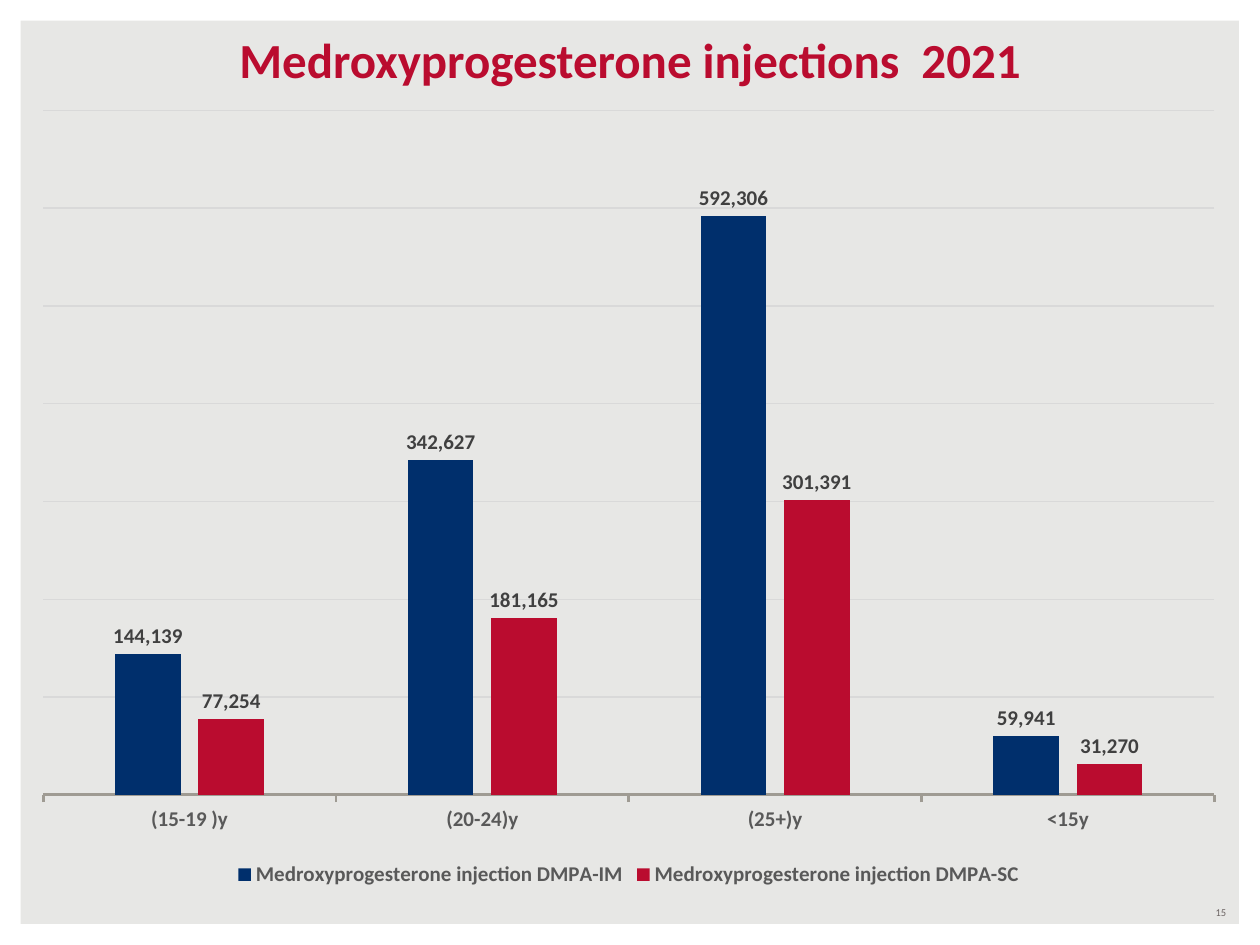
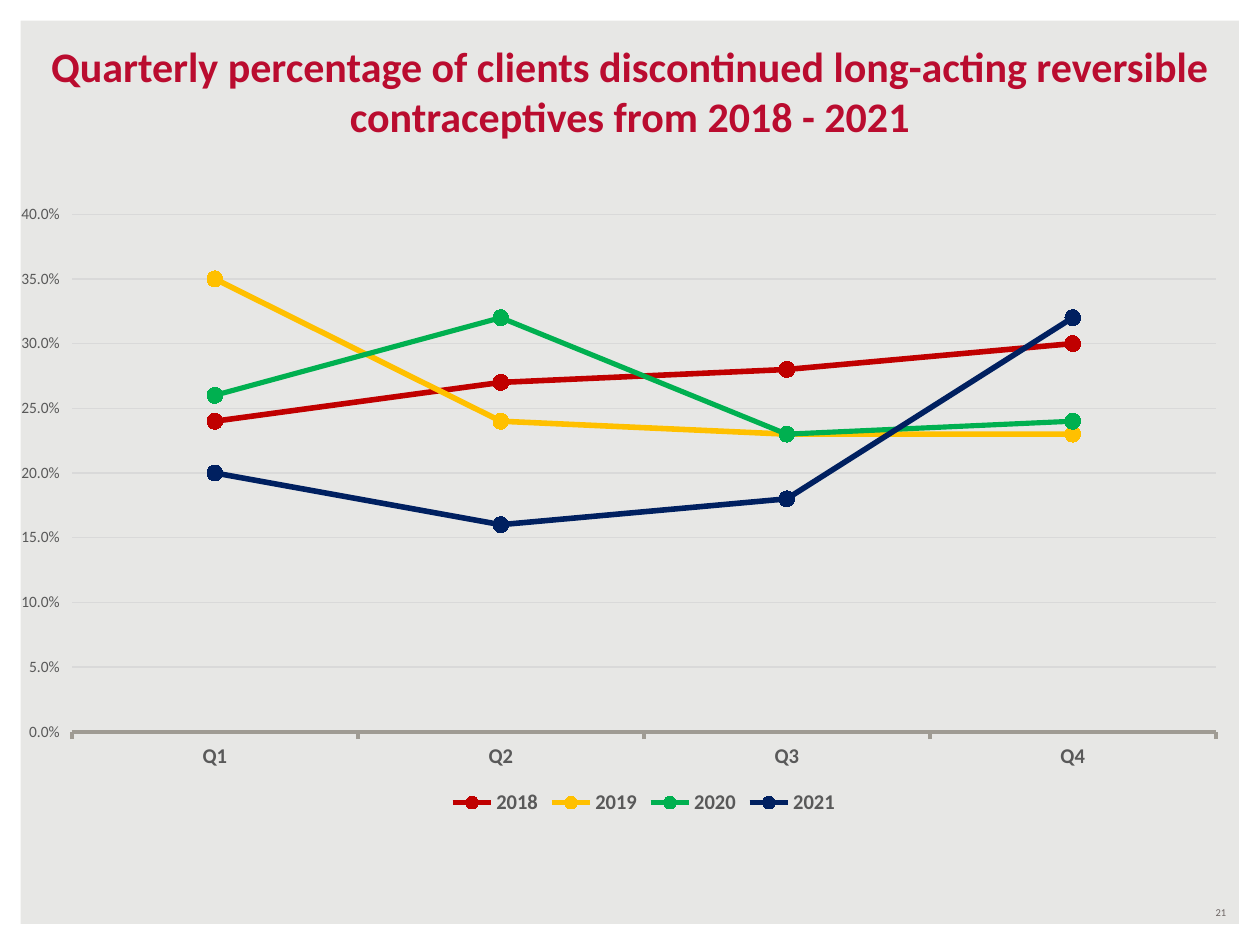
"""Builds two chart slides on contraceptive injections and discontinuation."""
from lxml.etree import SubElement
from pptx import Presentation
from pptx.chart.data import CategoryChartData
from pptx.dml.color import RGBColor
from pptx.enum.chart import (XL_CHART_TYPE, XL_LABEL_POSITION, XL_LEGEND_POSITION,
                             XL_MARKER_STYLE, XL_TICK_MARK)
from pptx.enum.shapes import MSO_SHAPE
from pptx.enum.text import MSO_ANCHOR, PP_ALIGN
from pptx.oxml.ns import qn
from pptx.util import Pt

FONT = "Calibri"
COLOURS = {
    "ground": "E7E7E5", "frame": "FFFFFF", "title": "BA0C2F", "number": "6C6463",
    "axis": "9F9B93", "grid": "D9D9D9", "axis text": "595959", "label": "404040",
    "navy": "002F6C", "crimson": "BA0C2F",
    "red": "C00000", "gold": "FFC000", "green": "00B050", "midnight": "002060",
}
PAGE_WIDTH, PAGE_HEIGHT = 720, 540
COUNT_FORMAT = '_(* #,##0_);_(* \\(#,##0\\);_(* "-"??_);_('
NUMBER_BOX = (540, 514.08, 167.76, 14.4)

INJECTIONS = {
    "categories": ["(15-19 )y", "(20-24)y", "(25+)y", "<15y"],
    "series": [
        ("Medroxyprogesterone injection DMPA-IM", "navy", [144139, 342627, 592306, 59941]),
        ("Medroxyprogesterone injection DMPA-SC", "crimson", [77254, 181165, 301391, 31270]),
    ],
}
DISCONTINUED = {
    "categories": ["Q1", "Q2", "Q3", "Q4"],
    "series": [
        ("2018", "red", [0.24, 0.27, 0.28, 0.3]),
        ("2019", "gold", [0.35, 0.24, 0.23, 0.23]),
        ("2020", "green", [0.26, 0.32, 0.23, 0.24]),
        ("2021", "midnight", [0.2, 0.16, 0.18, 0.32]),
    ],
}
LINE_WIDTHS = {"green": 3}


def colour(name):
    return RGBColor.from_string(COLOURS[name])


def style_font(font, size, colour_name, bold=False):
    font.name, font.size, font.bold = FONT, Pt(size), bold
    font.color.rgb = colour(colour_name)


def style_line(line, colour_name, width):
    line.color.rgb = colour(colour_name)
    line.width = Pt(width)


def add_text(page, box, text, size, colour_name, align, anchor, bold=False):
    frame = page.shapes.add_textbox(*map(Pt, box)).text_frame
    frame.word_wrap = True
    frame.vertical_anchor = anchor
    frame.text = text
    paragraph = frame.paragraphs[0]
    paragraph.alignment = align
    style_font(paragraph.runs[0].font, size, colour_name, bold)


def add_page(deck, title, title_box, title_size, number):
    page = deck.slides.add_slide(deck.slide_layouts[6])
    fill = page.background.fill
    fill.solid()
    fill.fore_color.rgb = colour("ground")
    border = page.shapes.add_shape(MSO_SHAPE.FRAME, 0, 0, Pt(PAGE_WIDTH), Pt(PAGE_HEIGHT))
    border.adjustments[0] = 0.022
    border.shadow.inherit = False
    border.fill.solid()
    border.fill.fore_color.rgb = colour("frame")
    border.line.fill.background()
    add_text(page, NUMBER_BOX, number, 6, "number", PP_ALIGN.RIGHT, MSO_ANCHOR.MIDDLE)
    add_text(page, title_box, title, title_size, "title", PP_ALIGN.CENTER,
             MSO_ANCHOR.BOTTOM, bold=True)
    return page


def add_chart(page, box, kind, content, number_format, maximum, step, axis_width):
    data = CategoryChartData(number_format=number_format)
    data.categories = content["categories"]
    for name, _, values in content["series"]:
        data.add_series(name, values)
    chart = page.shapes.add_chart(kind, *map(Pt, box), data).chart
    chart.font.name, chart.font.size = FONT, Pt(10)
    chart.has_title = False
    chart.has_legend = True
    chart.legend.position = XL_LEGEND_POSITION.BOTTOM
    chart.legend.include_in_layout = False
    style_font(chart.legend.font, 12, "axis text", bold=True)

    categories = chart.category_axis
    categories.major_tick_mark = XL_TICK_MARK.OUTSIDE
    style_font(categories.tick_labels.font, 12, "axis text", bold=True)
    style_line(categories.format.line, "axis", axis_width)

    scale = chart.value_axis
    scale.minimum_scale, scale.maximum_scale, scale.major_unit = 0, maximum, step
    scale.has_major_gridlines = True
    style_line(scale.major_gridlines.format.line, "grid", 0.75)
    scale.format.line.fill.background()
    scale.tick_labels.number_format = number_format
    scale.tick_labels.number_format_is_linked = False
    style_font(scale.tick_labels.font, 9, "axis text")
    return chart


def place_plot(chart, left, top, width, height):
    area = chart.plots[0]._element.getparent()
    layout = area.find(qn("c:layout"))
    if layout is None:
        layout = SubElement(area, qn("c:layout"))
        area.insert(0, layout)
    manual = SubElement(layout, qn("c:manualLayout"))
    settings = [("layoutTarget", "inner"), ("xMode", "edge"), ("yMode", "edge"),
                ("x", left), ("y", top), ("w", width), ("h", height)]
    for tag, value in settings:
        SubElement(manual, qn(f"c:{tag}")).set("val", str(value))


def add_injection_columns(page, box):
    chart = add_chart(page, box, XL_CHART_TYPE.COLUMN_CLUSTERED, INJECTIONS,
                      COUNT_FORMAT, 700000, 100000, 1.5)
    chart.value_axis.visible = False
    plot = chart.plots[0]
    plot.gap_width, plot.overlap, plot.vary_by_categories = 219, -27, False
    for series, (_, colour_name, _) in zip(plot.series, INJECTIONS["series"]):
        series.format.fill.solid()
        series.format.fill.fore_color.rgb = colour(colour_name)
        labels = series.data_labels
        labels.show_value = True
        labels.position = XL_LABEL_POSITION.OUTSIDE_END
        labels.number_format = COUNT_FORMAT
        labels.number_format_is_linked = False
        style_font(labels.font, 12, "label", bold=True)


def add_discontinued_lines(page, box):
    chart = add_chart(page, box, XL_CHART_TYPE.LINE_MARKERS, DISCONTINUED,
                      "0.0%", 0.4, 0.05, 2.5)
    place_plot(chart, 0.02, 0.04, 0.96, 0.82)
    plot = chart.plots[0]
    plot.vary_by_categories = False
    for series, (_, colour_name, _) in zip(plot.series, DISCONTINUED["series"]):
        series.smooth = False
        style_line(series.format.line, colour_name, LINE_WIDTHS.get(colour_name, 3.25))
        marker = series.marker
        marker.style, marker.size = XL_MARKER_STYLE.CIRCLE, 9
        marker.format.fill.solid()
        marker.format.fill.fore_color.rgb = colour(colour_name)
        style_line(marker.format.line, colour_name, 0.75)


def main():
    deck = Presentation()
    deck.slide_width, deck.slide_height = Pt(PAGE_WIDTH), Pt(PAGE_HEIGHT)
    page = add_page(deck, "Medroxyprogesterone injections  2021",
                    (10.8, 13, 698.4, 41), 28, "15")
    add_injection_columns(page, (10.8, 54, 697, 455.8))
    page = add_page(deck, "Quarterly percentage of clients discontinued long-acting "
                    "reversible contraceptives from 2018 - 2021",
                    (1.4, 18.7, 717.1, 65.5), 24, "21")
    add_discontinued_lines(page, (12.2, 108, 696.2, 360.7))
    deck.save("out.pptx")


if __name__ == "__main__":
    main()
